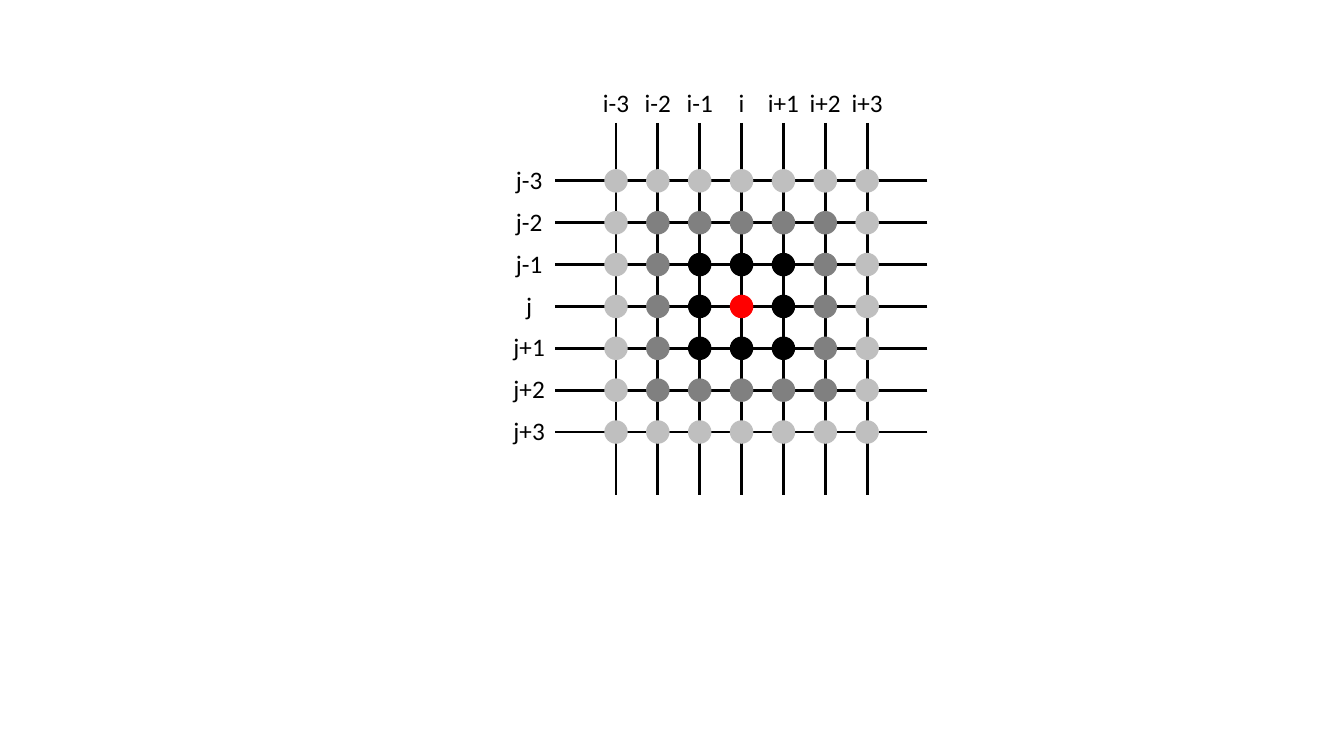
"""Draw a grid stencil with rings of neighbours around the point (i, j)."""
from pptx import Presentation
from pptx.dml.color import RGBColor as RGB
from pptx.enum.shapes import MSO_CONNECTOR as LINK, MSO_SHAPE as SHAPE
from pptx.enum.text import MSO_AUTO_SIZE as FIT, PP_ALIGN as ALIGN
from pptx.oxml.ns import qn
from pptx.util import Pt
from lxml import etree

COLS = ["i-3", "i-2", "i-1", "i", "i+1", "i+2", "i+3"]
ROWS = ["j-3", "j-2", "j-1", "j", "j+1", "j+2", "j+3"]
THEME = {
    "rings": ["FF0000", "000000", "808080", "BFBFBF"],
    "ink": "000000",
    "font": "Calibri",
    "size": 18,
    "rule": 2,
    "edge": 1,
}

STEP = 29.9
LEFT, TOP = 440, 129.2
SPAN_X = (396.7, 662.4)
SPAN_Y = (87.8, 353.5)
DOT = 15.8
HEAD_Y = 73.1
SIDE_X = 378
TEXT_H = 28.8
MID = len(COLS) // 2


def tint(name):
    return RGB.from_string(THEME[name])


def add_line(slide, x1, y1, x2, y2):
    line = slide.shapes.add_connector(
        LINK.STRAIGHT, Pt(x1), Pt(y1), Pt(x2), Pt(y2))
    line.line.color.rgb = tint("ink")
    line.line.width = Pt(THEME["rule"])
    etree.SubElement(line._element.spPr, qn("a:effectLst"))


def add_dot(slide, x, y, ring):
    dot = slide.shapes.add_shape(
        SHAPE.OVAL, Pt(x - DOT / 2), Pt(y - DOT / 2), Pt(DOT), Pt(DOT))
    color = RGB.from_string(THEME["rings"][ring])
    dot.shadow.inherit = False
    dot.fill.solid()
    dot.fill.fore_color.rgb = color
    dot.line.color.rgb = color
    dot.line.width = Pt(THEME["edge"])


def add_label(slide, text, x, y):
    wide = 18.7 if len(text) == 1 else 38.5
    box = slide.shapes.add_textbox(
        Pt(x - wide / 2), Pt(y - TEXT_H / 2), Pt(wide), Pt(TEXT_H))
    frame = box.text_frame
    frame.word_wrap = False
    frame.auto_size = FIT.SHAPE_TO_FIT_TEXT
    para = frame.paragraphs[0]
    para.text = text
    para.alignment = ALIGN.CENTER
    para.font.name = THEME["font"]
    para.font.size = Pt(THEME["size"])
    para.font.color.rgb = tint("ink")


def main():
    deck = Presentation()
    deck.slide_width, deck.slide_height = Pt(960), Pt(540)
    slide = deck.slides.add_slide(deck.slide_layouts[6])
    xs = [LEFT + STEP * n for n in range(len(COLS))]
    ys = [TOP + STEP * n for n in range(len(ROWS))]

    for x in xs:
        add_line(slide, x, SPAN_Y[0], x, SPAN_Y[1])
    for y in ys:
        add_line(slide, SPAN_X[1], y, SPAN_X[0], y)
    for row, y in enumerate(ys):
        for col, x in enumerate(xs):
            add_dot(slide, x, y, max(abs(row - MID), abs(col - MID)))
    for text, x in zip(COLS, xs):
        add_label(slide, text, x, HEAD_Y)
    for text, y in zip(ROWS, ys):
        add_label(slide, text, SIDE_X, y - 1)

    deck.save("out.pptx")


if __name__ == "__main__":
    main()
